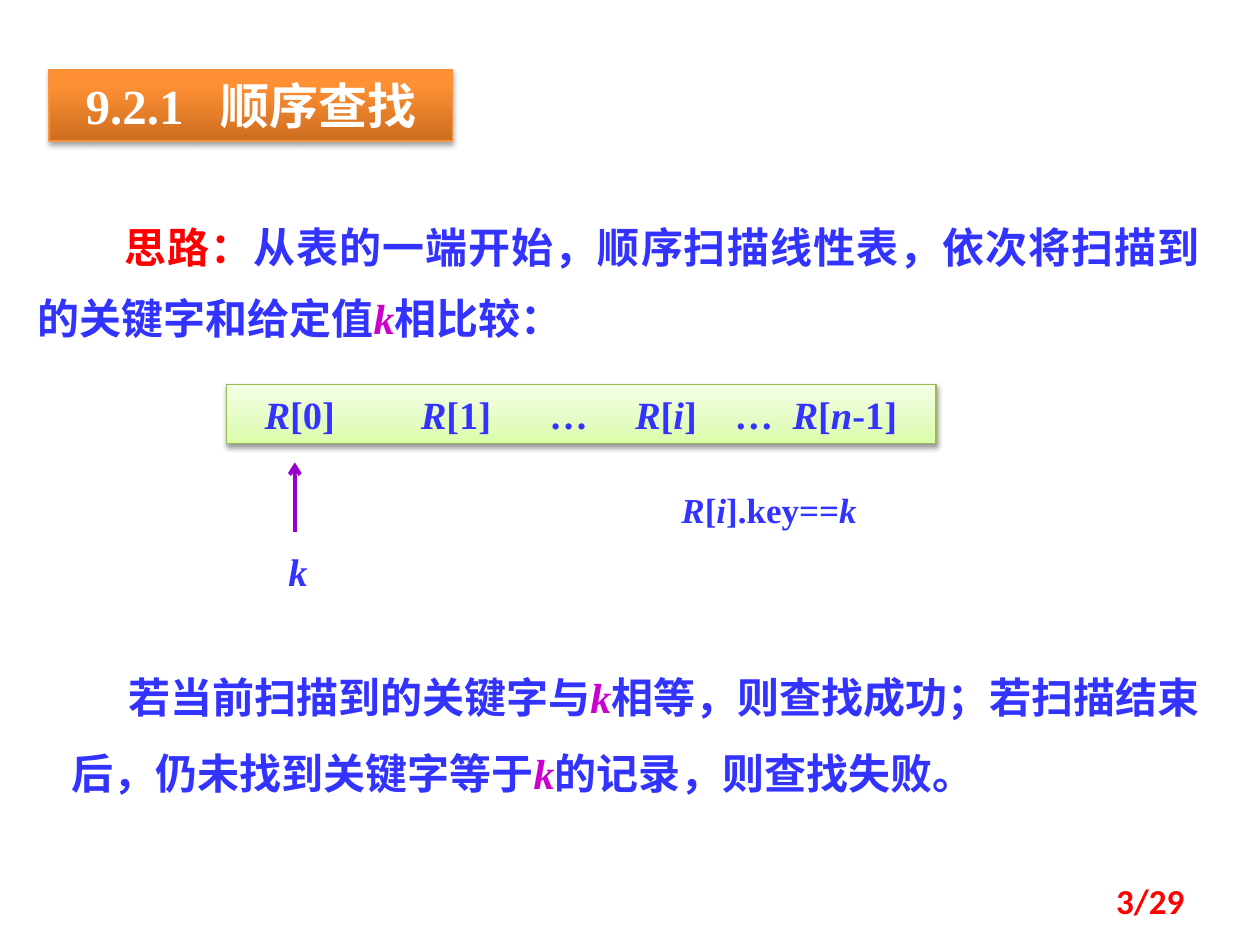
from dataclasses import dataclass
from typing import Optional

from lxml.etree import SubElement
from pptx import Presentation
from pptx.dml.color import RGBColor
from pptx.enum.shapes import MSO_CONNECTOR as CONN, MSO_SHAPE as SHAPE
from pptx.enum.text import MSO_ANCHOR as ANCHOR, PP_ALIGN as ALIGN
from pptx.oxml import parse_xml
from pptx.oxml.ns import nsdecls, qn
from pptx.util import Inches, Pt

SERIF, CJK = "Times New Roman", "Noto Sans CJK SC"
BLUE, RED, MAGENTA, PURPLE = "3333FF", "FF0000", "CC00CC", "9900CC"


@dataclass
class Run:
    text: str
    color: str = BLUE
    italic: bool = False


@dataclass
class Text:
    box: tuple
    runs: list
    size: int = 24
    font: str = SERIF
    align: ALIGN = ALIGN.LEFT
    anchor: ANCHOR = ANCHOR.TOP
    spacing: Optional[float] = None
    indent: float = 0
    inset: float = 0.1
    tabs: tuple = ()


@dataclass
class Bar:
    text: Text
    stops: tuple
    line: str
    shadow: tuple


def rgb(value: str) -> RGBColor:
    return RGBColor.from_string(value)


def italics(text: str, accent: str = BLUE) -> list:
    """Split text at asterisks; every second piece is italic in the accent colour."""
    return [Run(t, accent if i % 2 else BLUE, bool(i % 2))
            for i, t in enumerate(text.split("*")) if t]


def fill_text(sp, spec: Text) -> None:
    tf = sp.text_frame
    for name, value in {"word_wrap": True, "vertical_anchor": spec.anchor,
                        "margin_left": Inches(spec.inset)}.items():
        setattr(tf, name, value)
    p = tf.paragraphs[0]
    p.alignment, p.line_spacing = spec.align, spec.spacing
    pPr = p._p.get_or_add_pPr()
    if spec.indent:
        pPr.set("indent", str(Inches(spec.indent)))
    if spec.tabs:
        tabs = SubElement(pPr, qn("a:tabLst"))
        for pos in spec.tabs:
            SubElement(tabs, qn("a:tab"), pos=str(Inches(pos)), algn="l")
    for run in spec.runs:
        r = p.add_run()
        r.text = run.text
        for name, value in {"name": spec.font, "size": Pt(spec.size),
                            "bold": True, "italic": run.italic}.items():
            setattr(r.font, name, value)
        r.font.color.rgb = rgb(run.color)
        SubElement(r._r.get_or_add_rPr(), qn("a:ea"), typeface=CJK)


def add_text(s, spec: Text) -> None:
    fill_text(s.shapes.add_textbox(*map(Inches, spec.box)), spec)


def add_bar(s, bar: Bar) -> None:
    sp = s.shapes.add_shape(SHAPE.RECTANGLE, *map(Inches, bar.text.box))
    sp.line.color.rgb, sp.line.width = rgb(bar.line), Pt(0.75)
    stops = "".join(f'<a:gs pos="{pos * 1000}"><a:srgbClr val="{c}"/></a:gs>'
                    for pos, c in bar.stops)
    sp._element.spPr.find(qn("a:prstGeom")).addnext(parse_xml(
        f'<a:gradFill {nsdecls("a")}><a:gsLst>{stops}</a:gsLst>'
        '<a:lin ang="16200000" scaled="0"/></a:gradFill>'))
    alpha, blur, dist = bar.shadow
    sp._element.spPr.append(parse_xml(
        f'<a:effectLst {nsdecls("a")}><a:outerShdw blurRad="{Pt(blur)}" '
        f'dist="{Pt(dist)}" dir="5400000" rotWithShape="0"><a:srgbClr val="000000">'
        f'<a:alpha val="{alpha * 1000}"/></a:srgbClr></a:outerShdw></a:effectLst>'))
    fill_text(sp, bar.text)


def add_arrow(s, start: tuple, end: tuple, color: str) -> None:
    c = s.shapes.add_connector(CONN.STRAIGHT, *map(Inches, start + end))
    c.line.color.rgb, c.line.width = rgb(color), Pt(2.25)
    SubElement(c.line._get_or_add_ln(), qn("a:tailEnd"), type="arrow")
    SubElement(c._element.spPr, qn("a:effectLst"))


BARS = [
    Bar(Text((0.39, 0.55, 3.2, 0.57), [Run("9.2.1\t顺序查找", "FFFFFF")], 28,
             anchor=ANCHOR.MIDDLE, inset=0.29, tabs=(1.07,)),
        ((0, "CC6E20"), (80, "FF9034"), (100, "FF9136")), "F69240", (35, 3.1, 1.8)),
    Bar(Text((1.8, 3.05, 5.63, 0.47),
             italics("*R*[0]\t*R*[1]\t…\t*R*[*i*]\t…\t*R*[*n*-1]"), 22,
             anchor=ANCHOR.MIDDLE, inset=0.3, tabs=(1.24, 2.26, 2.94, 3.73, 4.19)),
        ((0, "DAFDA7"), (35, "E4FCC2"), (100, "F5FFE7")), "98B955", (38, 3.1, 1.6)),
]

TEXTS = [
    Text((0.2, 1.55, 9.42, 1.23),
         [Run("思路：", RED)] + italics(
             "从表的一端开始，顺序扫描线性表，依次将扫描到的关键字和给定值*k*相比较：", MAGENTA),
         align=ALIGN.JUSTIFY, spacing=1.4, indent=0.69),
    Text((0.47, 5.08, 9.22, 1.24), italics(
        "若当前扫描到的关键字与*k*相等，则查找成功；若扫描结束后，"
        "仍未找到关键字等于*k*的记录，则查找失败。", MAGENTA), spacing=1.5, indent=0.45),
    Text((2.19, 4.3, 0.47, 0.47), italics("*k*"), 22),
    Text((5.31, 3.83, 1.64, 0.44), italics("*R*[*i*].key==*k*"), 20),
    Text((7.17, 6.95, 2.33, 0.4), [Run("3/29", RED)], 20, "Calibri",
         ALIGN.RIGHT, ANCHOR.MIDDLE),
]


def main() -> None:
    prs = Presentation()
    prs.slide_width, prs.slide_height = Inches(10), Inches(7.5)
    s = prs.slides.add_slide(prs.slide_layouts[6])
    for bar in BARS:
        add_bar(s, bar)
    add_arrow(s, (2.34, 4.22), (2.34, 3.67), PURPLE)
    for text in TEXTS:
        add_text(s, text)
    prs.save("out.pptx")


if __name__ == "__main__":
    main()
